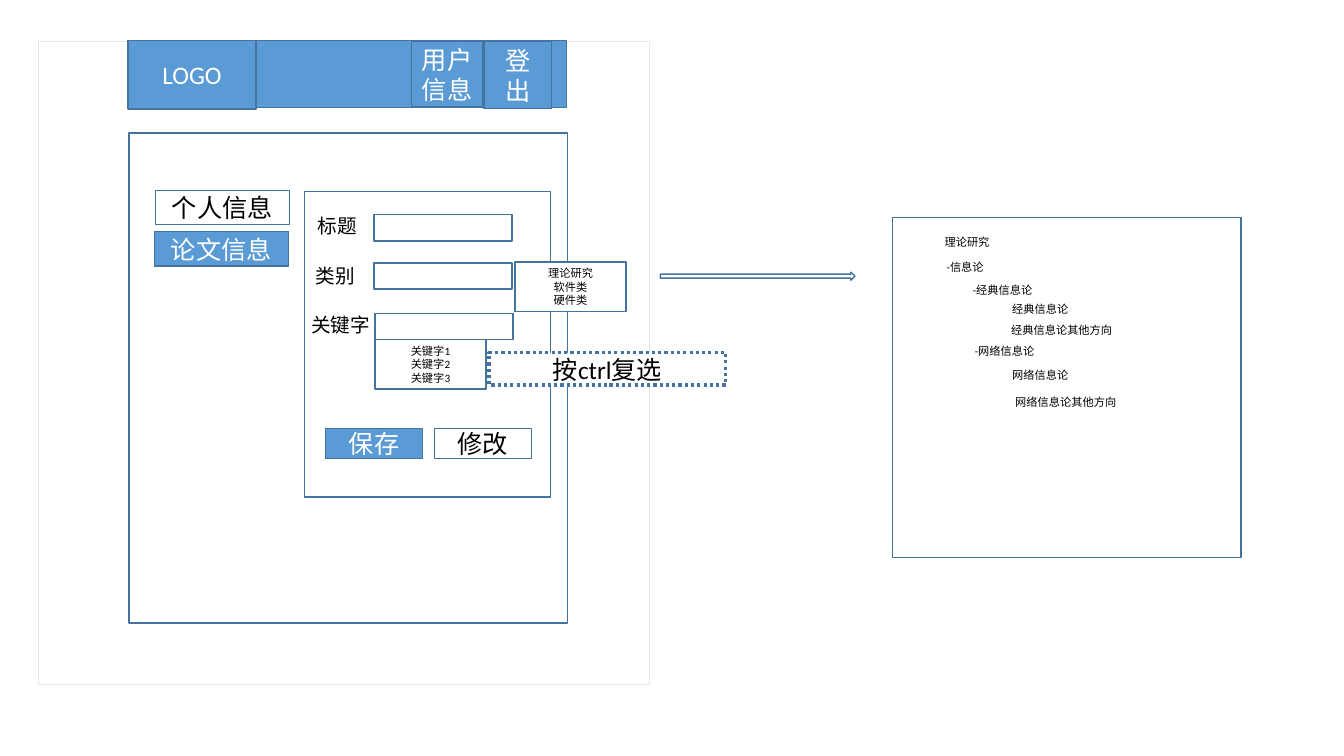
from pptx import Presentation
from pptx.dml.color import RGBColor
from pptx.enum.dml import MSO_LINE_DASH_STYLE as Dash
from pptx.enum.shapes import MSO_SHAPE as Kind
from pptx.enum.text import MSO_ANCHOR as Anchor, MSO_AUTO_SIZE as Auto, PP_ALIGN as Align
from pptx.util import Inches, Pt

BLUE, EDGE, WHITE, BLACK, GREY = "5B9BD5", "43739E", "FFFFFF", "000000", "E7E6E6"


def color(code):
    """Turn a hex string into a colour."""
    return RGBColor.from_string(code)


class Page:
    """Holds the style and the slide being drawn."""

    font = "Calibri"

    def __init__(self, slide):
        """Keep the shapes of the slide."""
        self.shapes = slide.shapes

    def letter(self, frame, text, size, ink, align):
        """Fill a text frame, one paragraph per line."""
        frame.word_wrap = True
        frame.text = text
        for para in frame.paragraphs:
            para.alignment = align
            para.font.name = self.font
            para.font.size = Pt(size)
            para.font.color.rgb = color(ink)

    def box(self, x, y, w, h, text="", fill=WHITE, size=18, edge=EDGE, kind=Kind.RECTANGLE):
        """Draw an outlined shape with centred text."""
        shape = self.shapes.add_shape(kind, Inches(x), Inches(y), Inches(w), Inches(h))
        shape.shadow.inherit = False
        if fill:
            shape.fill.solid()
            shape.fill.fore_color.rgb = color(fill)
        else:
            shape.fill.background()
        shape.line.color.rgb = color(edge)
        shape.line.width = Pt(1)
        if text:
            shape.text_frame.vertical_anchor = Anchor.MIDDLE
            self.letter(shape.text_frame, text, size, WHITE if fill == BLUE else BLACK, Align.CENTER)
        return shape

    def label(self, x, y, w, h, text, size):
        """Place plain text aligned left."""
        frame = self.shapes.add_textbox(Inches(x), Inches(y), Inches(w), Inches(h)).text_frame
        self.letter(frame, text, size, BLACK, Align.LEFT)
        frame.auto_size = Auto.SHAPE_TO_FIT_TEXT


deck = Presentation()
deck.slide_width, deck.slide_height = Inches(13.33), Inches(7.5)
page = Page(deck.slides.add_slide(deck.slide_layouts[6]))

page.box(0.38, 0.41, 6.06, 6.38, edge=GREY)
page.box(1.27, 0.4, 4.35, 0.67, fill=BLUE)
page.box(1.27, 0.4, 1.27, 0.68, "LOGO", BLUE)
page.box(4.08, 0.41, 0.71, 0.65, "用户信息", BLUE)
page.box(4.8, 0.41, 0.67, 0.67, "登出", BLUE)

page.box(1.28, 1.32, 4.35, 4.86)
page.box(1.54, 1.89, 1.33, 0.34, "个人信息")
page.box(1.53, 2.3, 1.33, 0.34, "论文信息", BLUE)
page.box(3.02, 1.9, 2.44, 3.03, fill=None)

fields = [
    ("标题", 3.05, 2.07, 0.7, 3.71, 2.13),
    ("类别", 3.03, 2.57, 0.61, 3.71, 2.61),
    ("关键字", 2.99, 3.06, 1.03, 3.72, 3.11),
]
for name, x, y, w, left, top in fields:
    page.label(x, y, w, 0.33, name, 14)
    page.box(left, top, 1.37, 0.26)

page.box(5.11, 2.6, 1.1, 0.49, "理论研究\n软件类\n硬件类", size=8)
page.box(3.72, 3.37, 1.1, 0.49, "关键字1\n关键字2\n关键字3", size=8)
page.box(3.23, 4.25, 0.96, 0.3, "保存", BLUE)
page.box(4.31, 4.25, 0.96, 0.3, "修改")
hint = page.box(4.85, 3.5, 2.35, 0.32, "按ctrl复选")
hint.line.width = Pt(2.25)
hint.line.dash_style = Dash.ROUND_DOT

page.box(6.55, 2.7, 1.93, 0.08, kind=Kind.RIGHT_ARROW)
page.box(8.85, 2.16, 3.46, 3.37)
topics = [
    (9.27, 2.29, "理论研究"),
    (9.29, 2.53, "-信息论"),
    (9.55, 2.76, "-经典信息论"),
    (9.94, 2.95, "经典信息论"),
    (9.93, 3.16, "经典信息论其他方向"),
    (9.57, 3.37, "-网络信息论"),
    (9.94, 3.61, "网络信息论"),
    (9.97, 3.87, "网络信息论其他方向"),
]
for x, y, topic in topics:
    page.label(x, y, 2.2, 0.23, topic, 8)

deck.save("out.pptx")
